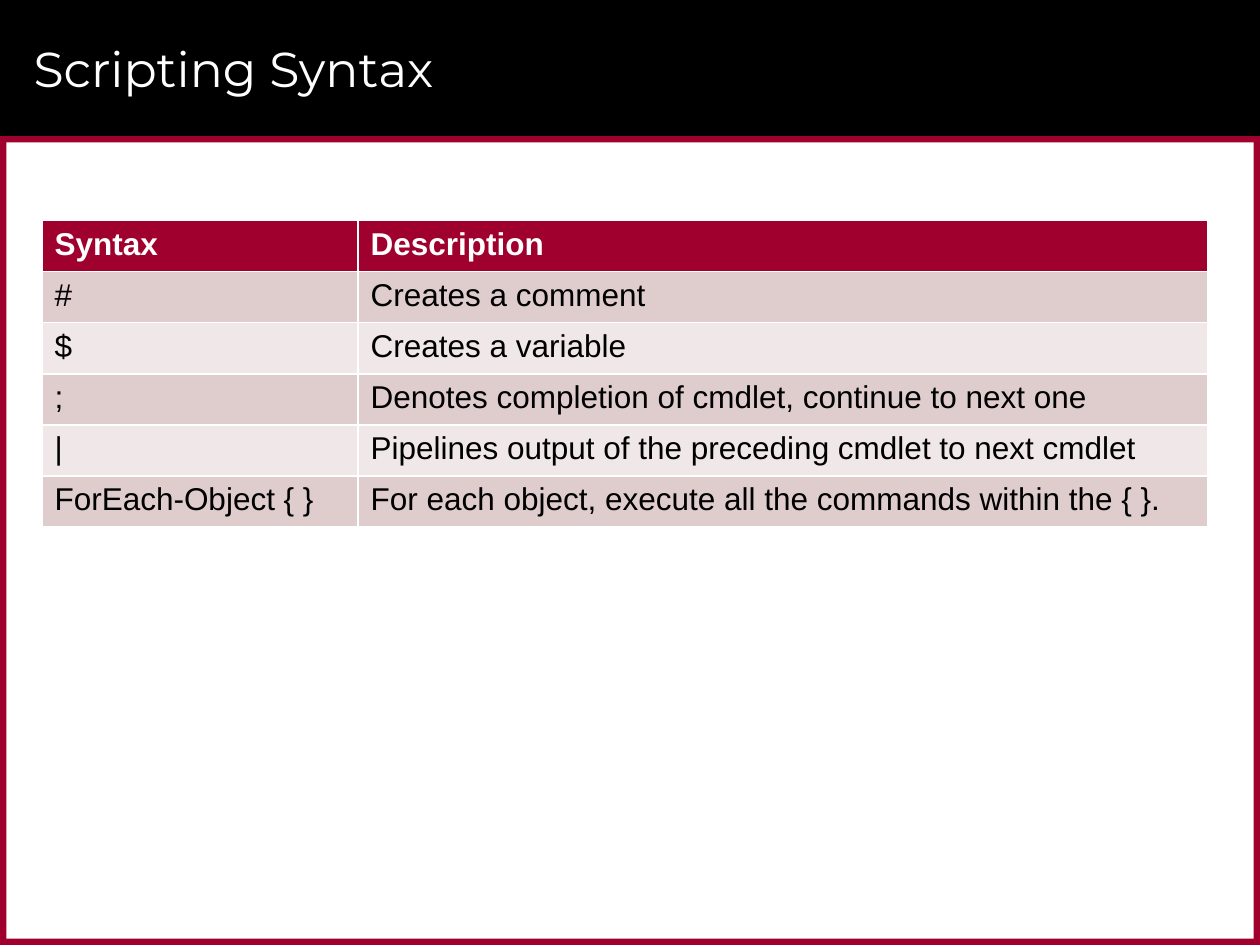
from pptx import Presentation
from pptx.dml.color import RGBColor
from pptx.enum.shapes import MSO_SHAPE
from pptx.enum.text import MSO_ANCHOR, PP_ALIGN
from pptx.util import Pt

RECT = MSO_SHAPE.RECTANGLE
MIDDLE = MSO_ANCHOR.MIDDLE
LEFT = PP_ALIGN.LEFT

TITLE = "Scripting Syntax"
ROWS = [
    ("Syntax", "Description"),
    ("#", "Creates a comment"),
    ("$", "Creates a variable"),
    (";", "Denotes completion of cmdlet, continue to next one"),
    ("|", "Pipelines output of the preceding cmdlet to next cmdlet"),
    ("ForEach-Object { }", "For each object, execute all the commands within the { }."),
]

BLACK, WHITE, CRIMSON = "000000", "FFFFFF", "9F002D"
BANDS = ("DFCCCD", "F0E7E8")

WIDTH, HEIGHT = 720, 540
HEADER_H, EDGE = 77.8, 3.6
TABLE_X, TABLE_Y = 24, 126
COLUMNS = (180.6, 485.4)
ROW_H = 29.2


def set_fill(target, color):
    target.fill.solid()
    target.fill.fore_color.rgb = RGBColor.from_string(color)


def set_text(tf, text, size=18, font="Arial", color=BLACK, bold=False):
    p = tf.paragraphs[0]
    p.alignment = LEFT
    r = p.add_run()
    r.text = text
    r.font.size = Pt(size)
    r.font.name = font
    r.font.bold = bold
    r.font.color.rgb = RGBColor.from_string(color)


def add_bar(s, x, y, w, h, color):
    bar = s.shapes.add_shape(RECT, Pt(x), Pt(y), Pt(w), Pt(h))
    bar.shadow.inherit = False
    set_fill(bar, color)
    bar.line.fill.background()


def add_frame(s):
    add_bar(s, 0, 0, WIDTH, HEADER_H, BLACK)
    for y in (HEADER_H, HEIGHT - EDGE):
        add_bar(s, 0, y, WIDTH, EDGE, CRIMSON)
    for x in (WIDTH - EDGE, 0):
        add_bar(s, x, HEADER_H, EDGE, HEIGHT - HEADER_H, CRIMSON)


def add_title(s):
    title = s.shapes.title
    title.left, title.top, title.width, title.height = Pt(12), Pt(6), Pt(678), Pt(66)
    tf = title.text_frame
    tf.word_wrap = True
    tf.vertical_anchor = MIDDLE
    set_text(tf, TITLE, size=28, font="Montserrat", color=WHITE)
    # The title has to lie in front of the black header bar
    title.element.getparent().append(title.element)


def add_syntax_table(s):
    table = s.shapes.add_table(
        len(ROWS), len(COLUMNS), Pt(TABLE_X), Pt(TABLE_Y),
        Pt(sum(COLUMNS)), Pt(ROW_H * len(ROWS))).table
    for column, width in zip(table.columns, COLUMNS):
        column.width = Pt(width)
    for i, row in enumerate(ROWS):
        table.rows[i].height = Pt(ROW_H)
        header = i == 0
        for j, text in enumerate(row):
            cell = table.cell(i, j)
            set_fill(cell, CRIMSON if header else BANDS[(i - 1) % 2])
            set_text(cell.text_frame, text, color=WHITE if header else BLACK, bold=header)


def main():
    prs = Presentation()
    prs.slide_width, prs.slide_height = Pt(WIDTH), Pt(HEIGHT)
    s = prs.slides.add_slide(prs.slide_layouts[5])
    add_frame(s)
    add_title(s)
    add_syntax_table(s)
    prs.save("out.pptx")


if __name__ == "__main__":
    main()
